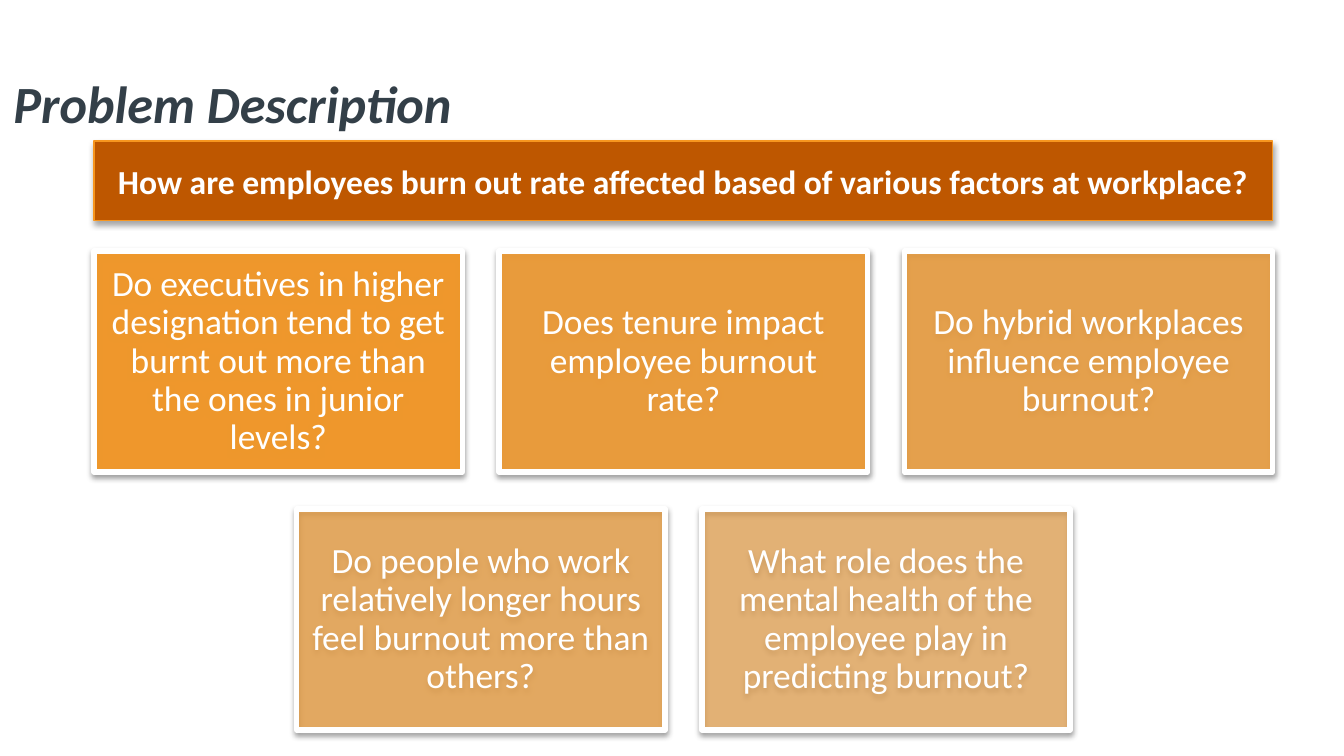
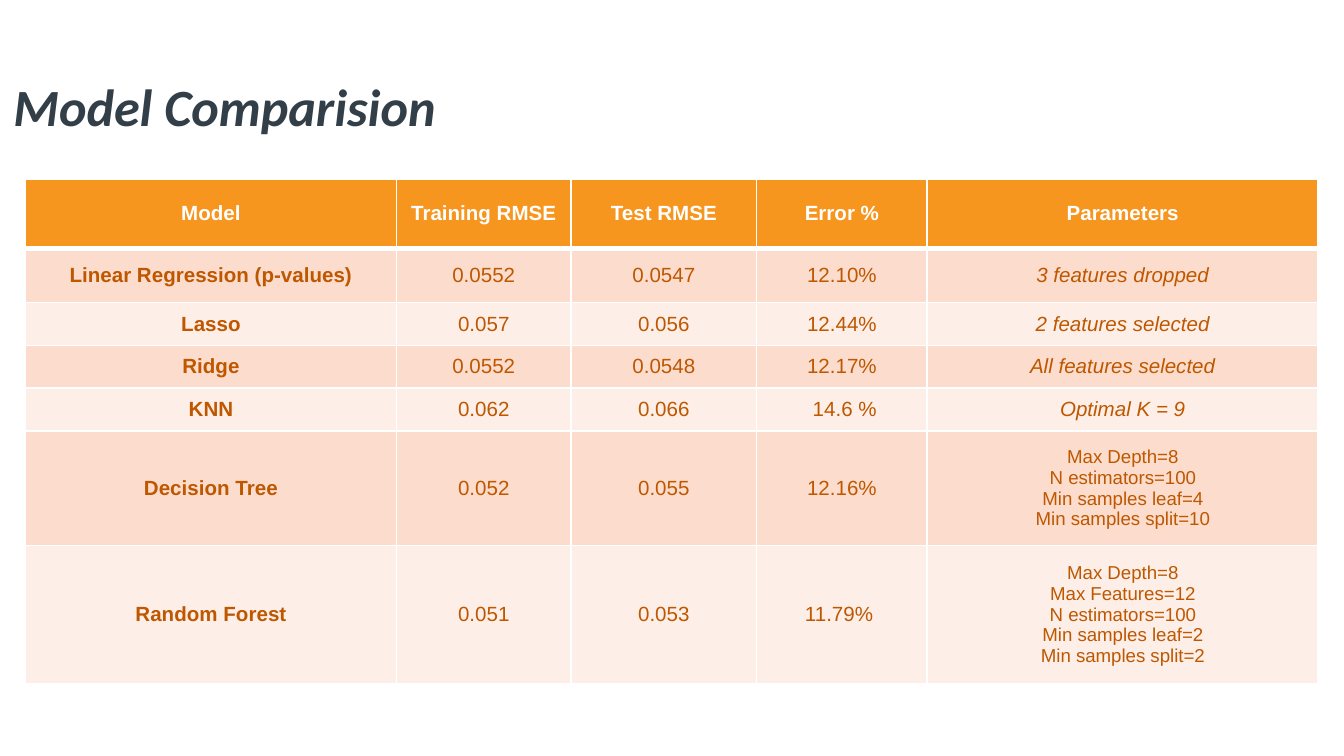
import pptx
import pptx.dml.color
import pptx.enum.shapes
import pptx.enum.text
import pptx.oxml
import pptx.oxml.ns
import pptx.util
from lxml import etree

Pt = pptx.util.Pt
MIDDLE = pptx.enum.text.MSO_ANCHOR.MIDDLE
CENTER = pptx.enum.text.PP_ALIGN.CENTER
LEFT = pptx.enum.text.PP_ALIGN.LEFT

# Shared look
WHITE, SLATE = "FFFFFF", "333F48"
ORANGE, RUST = "F7961F", "BE5700"
BANDS = ("FCDDCD", "FDEFE8")
HEADING_FONT, TABLE_FONT = "Calibri", "Arial"

QUESTION = ("How are employees burn out rate affected based of "
            "various factors at workplace?")
SUB_QUESTIONS = [
    "Do executives in higher designation tend to get burnt out more than "
    "the ones in junior levels?",
    "Does tenure impact employee burnout rate?",
    "Do hybrid workplaces influence employee burnout?",
    "Do people who work relatively longer hours feel burnout more than others?",
    "What role does the mental health of the employee play in predicting burnout?",
]

MODELS = [
    ("Model", "Training RMSE", "Test RMSE", "Error %", "Parameters"),
    ("Linear Regression (p-values)", "0.0552", "0.0547", "12.10%", "3 features dropped"),
    ("Lasso", "0.057", "0.056", "12.44%", "2 features selected"),
    ("Ridge", "0.0552", "0.0548", "12.17%", "All features selected"),
    ("KNN", "0.062", "0.066", " 14.6 %", "Optimal K = 9"),
    ("Decision Tree", "0.052", "0.055", "12.16%",
     "Max Depth=8\nN estimators=100\nMin samples leaf=4\nMin samples split=10"),
    ("Random Forest", "0.051", "0.053", "11.79% ",
     "Max Depth=8\nMax Features=12\nN estimators=100\n"
     "Min samples leaf=2\nMin samples split=2"),
]
COLUMN_WIDTHS = (198.7, 93.6, 99.4, 91.4, 209.5)
ROW_HEIGHTS = (37.4, 28.8, 23, 23, 23, 61.2, 74.2)


def rgb(hex_color):
    return pptx.dml.color.RGBColor.from_string(hex_color)


def style_text(frame, font, size, color, bold=False, italic=False, align=CENTER):
    for paragraph in frame.paragraphs:
        paragraph.alignment = align
        paragraph.font.name = font
        paragraph.font.size = Pt(size)
        paragraph.font.bold = bold
        paragraph.font.italic = italic
        paragraph.font.color.rgb = rgb(color)


def add_titled_slide(deck, title, top):
    slide = deck.slides.add_slide(deck.slide_layouts[5])
    heading = slide.shapes.title
    heading.left, heading.top = Pt(0), Pt(top)
    heading.width, heading.height = Pt(648), Pt(67.7)
    frame = heading.text_frame
    frame.text = title
    frame.auto_size = pptx.enum.text.MSO_AUTO_SIZE.NONE
    frame.vertical_anchor = MIDDLE
    style_text(frame, HEADING_FONT, 28, SLATE, bold=True, italic=True, align=LEFT)
    return slide


def add_shadow(shape, distance, opacity):
    shape.shadow.inherit = False
    effects = shape._element.spPr.find(pptx.oxml.ns.qn("a:effectLst"))
    effects.append(pptx.oxml.parse_xml(
        f'<a:outerShdw {pptx.oxml.ns.nsdecls("a")} blurRad="{Pt(3.1)}" '
        f'dist="{Pt(distance)}" dir="5400000" algn="t" rotWithShape="0">'
        f'<a:srgbClr val="000000"><a:alpha val="{opacity * 1000}"/></a:srgbClr>'
        f'</a:outerShdw>'))


def add_card(slide, box, text, fill, line, line_width):
    card = slide.shapes.add_shape(
        pptx.enum.shapes.MSO_SHAPE.RECTANGLE, *[Pt(length) for length in box])
    card.fill.solid()
    card.fill.fore_color.rgb = rgb(fill)
    card.line.color.rgb = rgb(line)
    card.line.width = Pt(line_width)
    card.text_frame.word_wrap = True
    card.text_frame.vertical_anchor = MIDDLE
    card.text_frame.text = text
    return card


def add_question_banner(slide, box):
    banner = add_card(slide, box, QUESTION, RUST, ORANGE, 0.75)
    add_shadow(banner, 1.8, 35)
    style_text(banner.text_frame, HEADING_FONT, 18, WHITE, bold=True)


def add_question_tiles(slide, left, top, width, per_row=3):
    # Gaps are a tenth of a tile; a short last row is centred
    tile_width = width / (per_row + 0.1 * (per_row - 1))
    tile_height, gap = 0.6 * tile_width, 0.1 * tile_width
    for index, question in enumerate(SUB_QUESTIONS):
        row, column = divmod(index, per_row)
        in_row = min(per_row, len(SUB_QUESTIONS) - row * per_row)
        indent = (per_row - in_row) * (tile_width + gap) / 2
        box = (left + indent + column * (tile_width + gap),
               top + row * (tile_height + gap), tile_width, tile_height)
        tile = add_card(slide, box, question, ORANGE, WHITE, 3)
        add_shadow(tile, 1.6, 38)
        # Each tile is more transparent than the one before
        fill_color = tile._element.spPr.find(
            pptx.oxml.ns.qn("a:solidFill")).find(pptx.oxml.ns.qn("a:srgbClr"))
        etree.SubElement(fill_color, pptx.oxml.ns.qn("a:alpha"),
                         val=str(90000 - 10000 * index))
        frame = tile.text_frame
        frame.margin_left = frame.margin_right = Pt(5.7)
        frame.margin_top = frame.margin_bottom = Pt(5.7)
        style_text(frame, HEADING_FONT, 19, WHITE)
        frame.paragraphs[0].line_spacing = 0.9


def add_cell_borders(cell, widths):
    properties = cell._tc.get_or_add_tcPr()
    for side, width in widths.items():
        properties.append(pptx.oxml.parse_xml(
            f'<a:ln{side} {pptx.oxml.ns.nsdecls("a")} w="{Pt(width)}">'
            f'<a:solidFill><a:srgbClr val="{WHITE}"/></a:solidFill></a:ln{side}>'))


def add_model_table(slide, left, top):
    table = slide.shapes.add_table(
        len(ROW_HEIGHTS), len(COLUMN_WIDTHS), Pt(left), Pt(top),
        Pt(sum(COLUMN_WIDTHS)), Pt(sum(ROW_HEIGHTS))).table
    table.horz_banding = False
    for column, width in zip(table.columns, COLUMN_WIDTHS):
        column.width = Pt(width)
    for row, height in zip(table.rows, ROW_HEIGHTS):
        row.height = Pt(height)
    last_column = len(COLUMN_WIDTHS) - 1
    for r, values in enumerate(MODELS):
        header = r == 0
        for c, value in enumerate(values):
            cell = table.cell(r, c)
            cell.text = value
            cell.vertical_anchor = MIDDLE
            add_cell_borders(cell, {"L": 1, "R": 1, "T": 3 if r == 1 else 1,
                                    "B": 3 if header else 1})
            cell.fill.solid()
            cell.fill.fore_color.rgb = rgb(ORANGE if header else BANDS[(r - 1) % 2])
            settings_list = "\n" in value
            style_text(cell.text_frame, TABLE_FONT, 10 if settings_list else 11,
                       WHITE if header else RUST, bold=header or c == 0,
                       italic=c == last_column and not header and not settings_list)


def build_problem_slide(deck):
    slide = add_titled_slide(deck, "Problem Description", top=20.9)
    left, width = 50.4, 631.4
    add_question_banner(slide, (left, 75.6, width, 42.5))
    add_question_tiles(slide, left, 134.6, width)


def build_comparison_slide(deck):
    slide = add_titled_slide(deck, "Model Comparision", top=23)
    add_model_table(slide, 13.7, 95.8)


def main():
    deck = pptx.Presentation()
    deck.slide_width, deck.slide_height = Pt(720), Pt(405)
    build_problem_slide(deck)
    build_comparison_slide(deck)
    deck.save("out.pptx")


if __name__ == "__main__":
    main()
